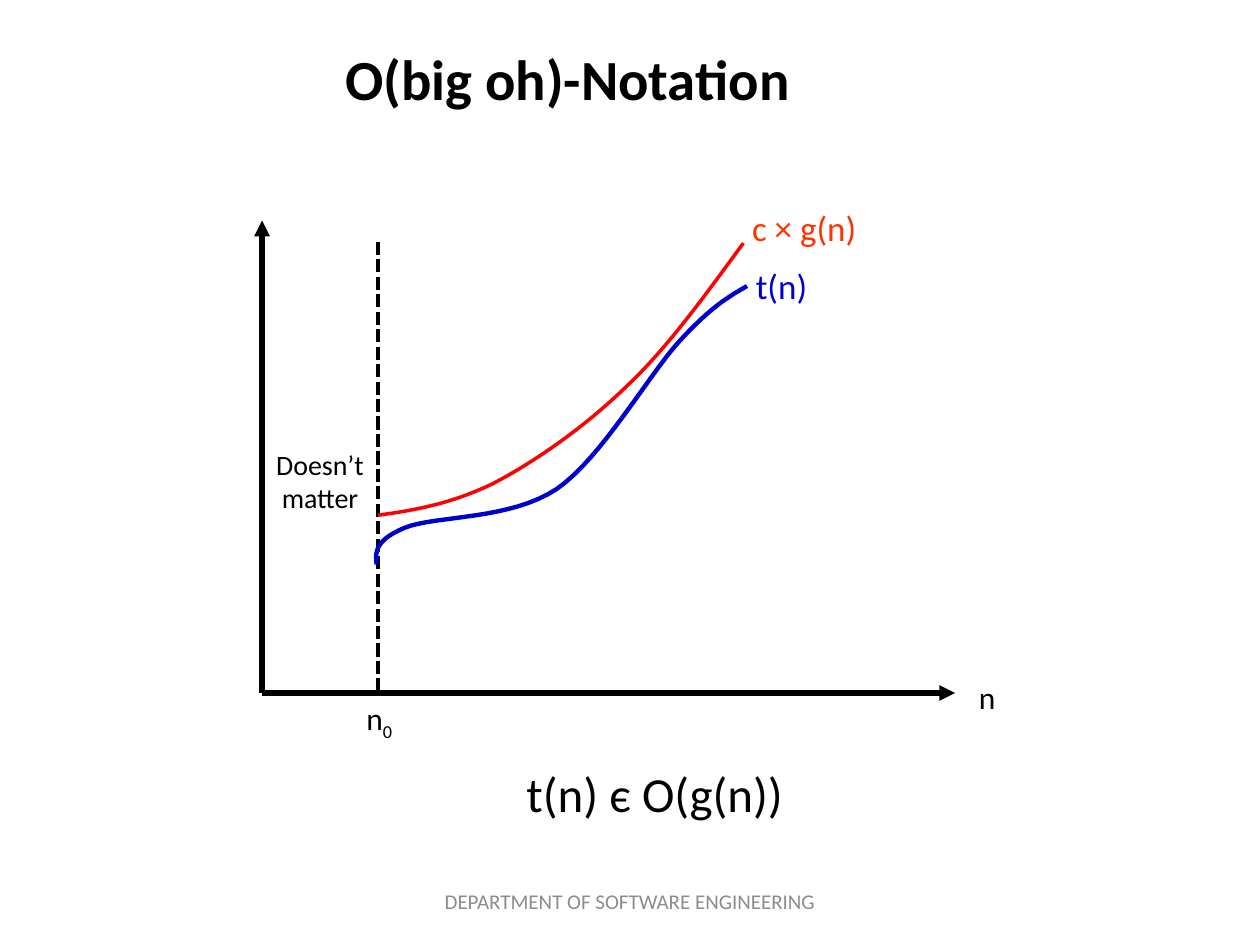
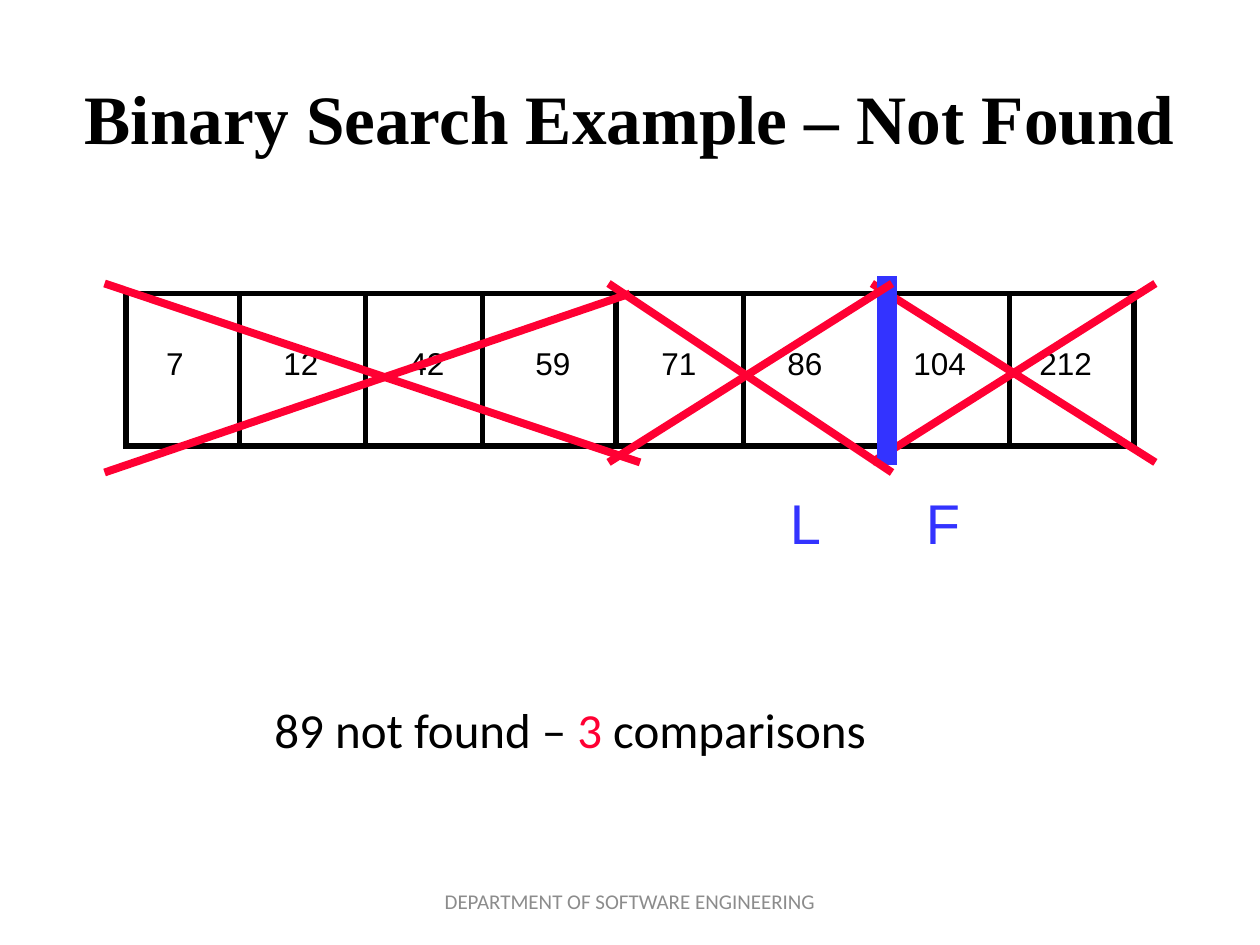
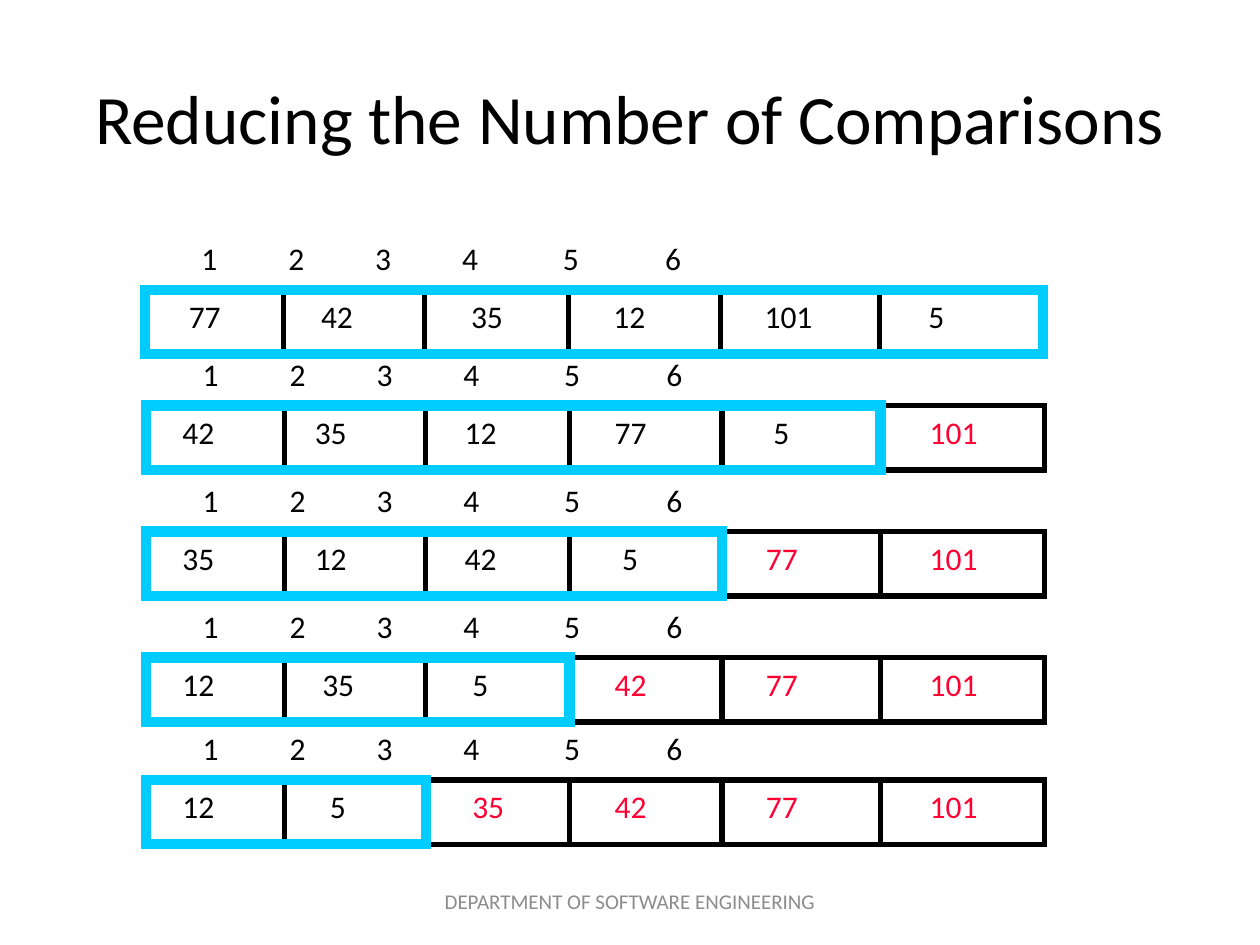
"""Build three algorithm slides: big-oh graph, binary search and comparison passes."""
from lxml import etree
from pptx import Presentation
from pptx import util as u
from pptx.dml import color
from pptx.enum import dml, shapes, text
from pptx.oxml import ns

BLACK = color.RGBColor(0x00, 0x00, 0x00)
GRAY = color.RGBColor(0x8C, 0x8C, 0x8C)
RED = color.RGBColor(0xFF, 0x00, 0x00)
ORANGE = color.RGBColor(0xFF, 0x33, 0x00)
CRIMSON = color.RGBColor(0xFF, 0x00, 0x33)
NAVY = color.RGBColor(0x00, 0x00, 0xCC)
BLUE = color.RGBColor(0x33, 0x33, 0xFF)
CYAN = color.RGBColor(0x00, 0xCC, 0xFF)

BODY = {"name": "Calibri", "size": 18, "color": BLACK}
TITLE = {**BODY, "size": 39.6}
FOOTER = {**BODY, "size": 12, "color": GRAY}
FOOTER_TEXT = "DEPARTMENT OF SOFTWARE ENGINEERING"
CENTER = text.PP_ALIGN.CENTER
MIDDLE = text.MSO_ANCHOR.MIDDLE


def style_font(font, style):
    """Set the font attributes named in a style dict."""
    for name, value in style.items():
        if name == "color":
            font.color.rgb = value
        else:
            setattr(font, name, u.Pt(value) if name == "size" else value)


def style_line(line, line_color, width):
    """Set the colour and point width of a line."""
    line.color.rgb = line_color
    line.width = u.Pt(width)


def add_text(slide, box, paragraphs, style=BODY, align=None, anchor=text.MSO_ANCHOR.TOP):
    """Add a text box; each paragraph is a string or a list of (text, style) runs."""
    shape = slide.shapes.add_textbox(*map(u.Inches, box))
    frame = shape.text_frame
    frame.word_wrap = True
    frame.vertical_anchor = anchor
    for index, content in enumerate(paragraphs):
        paragraph = frame.add_paragraph() if index else frame.paragraphs[0]
        paragraph.alignment = align
        runs = [(content, {})] if isinstance(content, str) else content
        for words, changes in runs:
            run = paragraph.add_run()
            run.text = words
            style_font(run.font, {**style, **changes})
    return shape


def add_tabbed_text(slide, box, values, pitch, indent, style):
    """Add one line of values placed at equal tab stops."""
    shape = add_text(slide, box, ["\t".join(values)], style)
    properties = shape.text_frame.paragraphs[0]._p.get_or_add_pPr()
    for name, length in {"marL": 0, "indent": indent, "defTabSz": pitch}.items():
        properties.set(name, str(u.Inches(length)))


def add_line(slide, start, end, line_color=BLACK, width=3, dash=None, arrow=False):
    """Add a straight line, with an optional arrowhead at its end."""
    connector = slide.shapes.add_connector(
        shapes.MSO_CONNECTOR.STRAIGHT, *map(u.Inches, (*start, *end)))
    style_line(connector.line, line_color, width)
    if dash:
        connector.line.dash_style = dash
    if arrow:
        etree.SubElement(connector.line._get_or_add_ln(), ns.qn("a:tailEnd"), type="triangle")
    etree.SubElement(connector._element.spPr, ns.qn("a:effectLst"))


def add_rectangle(slide, box, line_color=BLACK, width=3, fill=None):
    """Add a square-cornered outline, filled only when a colour is given."""
    shape = slide.shapes.add_shape(shapes.MSO_SHAPE.RECTANGLE, *map(u.Inches, box))
    shape.shadow.inherit = False
    if fill is None:
        shape.fill.background()
    else:
        shape.fill.solid()
        shape.fill.fore_color.rgb = fill
    style_line(shape.line, line_color, width)
    etree.SubElement(shape.line._get_or_add_ln(), ns.qn("a:miter"), lim="800000")


def bezier_points(knots, steps=16):
    """Return points along joined cubic curves that share end knots."""
    points = [knots[0]]
    for first in range(0, len(knots) - 1, 3):
        segment = knots[first:first + 4]
        for step in range(1, steps + 1):
            t = step / steps
            weights = ((1 - t) ** 3, 3 * t * (1 - t) ** 2, 3 * t * t * (1 - t), t ** 3)
            points.append(tuple(sum(w * knot[axis] for w, knot in zip(weights, segment))
                                for axis in (0, 1)))
    return points


def add_curve(slide, left, top, knots, line_color, width):
    """Draw an open smooth curve with knots relative to left and top."""
    points = [(u.Inches(left + x), u.Inches(top + y)) for x, y in bezier_points(knots)]
    builder = slide.shapes.build_freeform(*points[0])
    builder.add_line_segments(points[1:], close=False)
    shape = builder.convert_to_shape()
    shape.shadow.inherit = False
    shape.fill.background()
    style_line(shape.line, line_color, width)


def add_page(presentation, title, box=(0.5, 0.3, 9, 1.25), changes=None):
    """Add a blank slide with the shared title and footer."""
    slide = presentation.slides.add_slide(presentation.slide_layouts[6])
    add_text(slide, box, [title], {**TITLE, **(changes or {})}, CENTER, MIDDLE)
    add_text(slide, (3.4, 6.95, 3.2, 0.4), [FOOTER_TEXT], FOOTER, CENTER, MIDDLE)
    return slide


def add_growth_graph(slide, left, top, width, height):
    """Draw the axes, threshold, growth curves and their labels."""
    bottom = top + height
    threshold = left + 0.92
    add_line(slide, (left, bottom), (left, top), arrow=True)
    add_line(slide, (left, bottom), (left + width, bottom), arrow=True)
    add_line(slide, (threshold, top + 0.17), (threshold, bottom),
             width=2.5, dash=dml.MSO_LINE.SQUARE_DOT)
    bound = [(0.92, 2.34), (1.21, 2.3), (1.5, 2.25), (1.83, 2.09), (2.16, 1.92),
             (2.56, 1.64), (2.89, 1.32), (3.22, 1.01), (3.52, 0.59), (3.82, 0.18)]
    running_time = [(0.91, 2.73), (0.9, 2.64), (0.89, 2.54), (1.13, 2.44), (1.37, 2.34),
                    (1.97, 2.38), (2.34, 2.13), (2.7, 1.88), (3.07, 1.22), (3.32, 0.95),
                    (3.57, 0.68), (3.71, 0.6), (3.85, 0.52)]
    add_curve(slide, left, top, bound, RED, 2)
    add_curve(slide, left, top, running_time, NAVY, 2.5)
    add_text(slide, (left - 0.03, top + 1.75, 0.98, 0.64), ["Doesn’t", "matter"],
             {**BODY, "size": 16}, CENTER)
    add_text(slide, (left + width + 0.09, bottom - 0.17, 0.33, 0.4), ["n"])
    origin = add_text(slide, (threshold - 0.19, bottom, 0.46, 0.4), [[("n", {}), ("0", {})]])
    subscript = origin.text_frame.paragraphs[0].runs[1]
    subscript._r.get_or_add_rPr().set("baseline", "-25000")
    add_text(slide, (left + 3.79, top - 0.16, 1.15, 0.44), ["c × g(n)"],
             {**BODY, "size": 20, "color": ORANGE})
    add_text(slide, (left + 3.82, top + 0.3, 0.69, 0.44), ["t(n)"],
             {**BODY, "size": 20, "color": NAVY})


def add_search_array(slide, left, top, width, height):
    """Draw the searched array, its crossed-out parts and the L and F marks."""
    bottom = top + height
    add_rectangle(slide, (left, top, width, height))
    for offset in (0.9, 1.9, 2.83, 3.89, 4.9, 6.06, 7.01):
        add_line(slide, (left + offset, top), (left + offset, bottom))
    add_tabbed_text(slide, (left + 0.15, top + 0.35, 7.76, 0.5),
                    ["7", "12", "42", "59", "71", "86", "104", "212"],
                    1, 0.07, {**BODY, "name": "Arial"})
    for letter, offset in (("F", 6.25), ("L", 5.17)):
        add_text(slide, (left + offset, top + 1.5, 0.5, 0.63), [letter],
                 {"name": "Arial", "size": 32, "color": BLUE})

    def strike(start, end):
        """Draw one red stroke between points relative to the array."""
        add_line(slide, (left + start[0], top + start[1]),
                 (left + end[0], top + end[1]), CRIMSON, 4.5)

    strike((8.17, -0.08), (5.92, 1.34))
    strike((5.92, -0.08), (8.17, 1.34))
    add_rectangle(slide, (left + 6, top - 0.1, 0.08, 1.42), BLUE, 6, BLUE)
    strike((-0.17, -0.08), (4.08, 1.34))
    strike((4, 0), (-0.17, 1.42))
    strike((6.08, -0.08), (3.83, 1.34))
    strike((3.83, -0.08), (6.08, 1.42))


def add_pass_row(slide, left, top, values, indents, unsorted):
    """Draw one pass: positions, cells, values and the frame of the unsorted part."""
    width, height = 7.13, 0.51
    edges = (0, 1.1, 2.22, 3.36, 4.57, 5.83, width)
    position_offsets = (0.35, 1.04, 1.73, 2.42, 3.22, 4.03)
    value_offsets = (0.19, 1.24, 2.43, 3.62, 4.76, 6.06)
    for position, offset in enumerate(position_offsets, 1):
        add_text(slide, (left + offset, top - 0.45, 0.4, 0.5), [str(position)])
    add_rectangle(slide, (left, top, width, height))
    for edge in edges[1:-1]:
        add_line(slide, (left + edge, top), (left + edge, top + height))
    for index, (value, offset, indent) in enumerate(zip(values, value_offsets, indents)):
        value_color = BLACK if index < unsorted else CRIMSON
        add_text(slide, (left + offset + 0.06 * indent, top + 0.01, 0.66, 0.5), [value],
                 {**BODY, "color": value_color})
    add_rectangle(slide, (left, top, edges[unsorted], height), CYAN, 6)


def build_notation_slide(presentation):
    """Build the big-oh notation slide."""
    slide = add_page(presentation, "O(big oh)-Notation", (0.75, 0.33, 7.51, 0.58),
                     {"size": 32.4, "bold": True})
    add_growth_graph(slide, 2.08, 1.75, 5.5, 3.75)
    add_text(slide, (4.08, 6.01, 2.62, 0.57), ["t(n) є O(g(n))"], {**BODY, "size": 28})


def build_search_slide(presentation):
    """Build the unsuccessful binary search slide."""
    slide = add_page(presentation, "Binary Search Example – Not Found",
                     changes={"name": "Times New Roman", "bold": True})
    add_search_array(slide, 1, 2.33, 8, 1.21)
    result = [("89 not found – ", {}), ("3", {"color": CRIMSON}), (" comparisons", {})]
    add_text(slide, (2.08, 5.5, 5.72, 0.57), [result], {**BODY, "size": 28})


def build_comparisons_slide(presentation):
    """Build the slide of passes over a shrinking unsorted part."""
    slide = add_page(presentation, "Reducing the Number of Comparisons")
    passes = (
        (1.15, 2.3, "77 42 35 12 101 5", (1, 1, 1, 0, 1, 1)),
        (1.16, 3.22, "42 35 12 77 5 101", (0, 0, 0, 0, 2, 1)),
        (1.16, 4.22, "35 12 42 5 77 101", (0, 0, 0, 1, 1, 1)),
        (1.16, 5.22, "12 35 5 42 77 101", (0, 1, 1, 0, 1, 1)),
        (1.16, 6.19, "12 5 35 42 77 101", (0, 2, 1, 0, 1, 1)),
    )
    for done, (left, top, values, indents) in enumerate(passes):
        add_pass_row(slide, left, top, values.split(), indents, 6 - done)


def main():
    """Build and save the presentation."""
    presentation = Presentation()
    presentation.slide_width = u.Inches(10)
    presentation.slide_height = u.Inches(7.5)
    build_notation_slide(presentation)
    build_search_slide(presentation)
    build_comparisons_slide(presentation)
    presentation.save("out.pptx")


if __name__ == "__main__":
    main()
